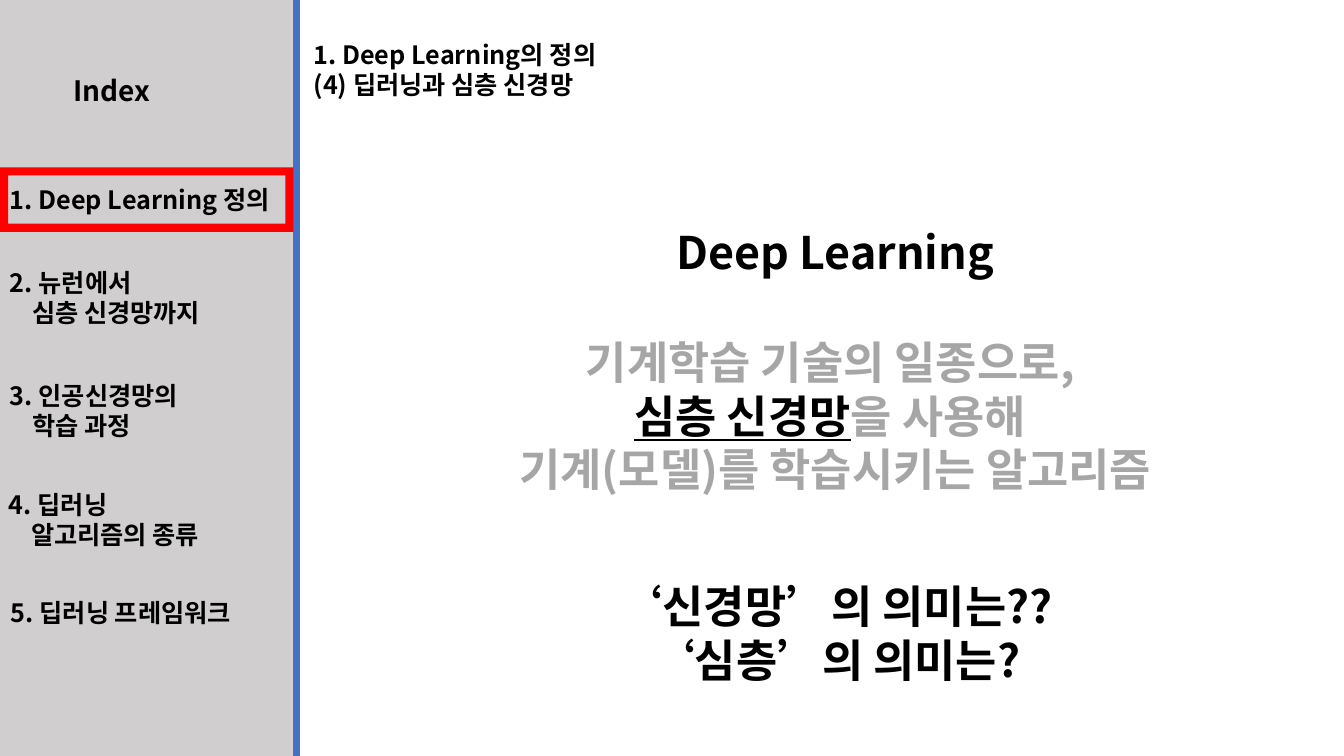
"""Build the slide on deep learning and deep neural networks with an index sidebar."""
from pptx import Presentation, util as u
from pptx.dml.color import RGBColor
from pptx.enum import shapes, text
from pptx.oxml import ns, xmlchemy

BLACK = RGBColor(0, 0, 0)
GREY = RGBColor(0xA6, 0xA6, 0xA6)
PANEL = RGBColor(0xD0, 0xCE, 0xCE)
BLUE = RGBColor(0x44, 0x72, 0xC4)
RED = RGBColor(0xFF, 0, 0)
FONT = "Noto Sans CJK KR"
LEFT, CENTER = text.PP_ALIGN.LEFT, text.PP_ALIGN.CENTER


def write(box, lines, size, align=LEFT, indent=0):
    """Fill a box with lines, each a list of (words, colour, underlined) runs."""
    frame = box.text_frame
    frame.word_wrap = True
    frame.auto_size = text.MSO_AUTO_SIZE.NONE
    frame.vertical_anchor = text.MSO_ANCHOR.TOP
    for number, runs in enumerate(lines):
        line = frame.add_paragraph() if number else frame.paragraphs[0]
        line.alignment = align
        line.line_spacing = 1.0
        line.space_before = u.Pt(0)
        if number and indent:
            line._p.get_or_add_pPr().set("marL", str(u.Inches(indent)))
        for words, colour, underlined in runs:
            run = line.add_run()
            run.text = words
            run.font.size = u.Pt(size)
            run.font.name = FONT
            run.font.bold = True
            run.font.underline = underlined
            run.font.color.rgb = colour
            east_asian = xmlchemy.OxmlElement("a:ea")
            east_asian.set("typeface", FONT)
            run._r.rPr.find(ns.qn("a:latin")).addnext(east_asian)


def plain(*lines):
    """Turn each string into a line of one black run."""
    return [[(words, BLACK, False)] for words in lines]


prs = Presentation()
prs.slide_width, prs.slide_height = u.Inches(13.33), u.Inches(7.5)
slide = prs.slides.add_slide(prs.slide_layouts[5])
parts = slide.shapes
sidebar_width = u.Inches(2.94)

heading = parts.title
heading.left, heading.top = u.Inches(3.01), u.Inches(0.34)
heading.width, heading.height = u.Inches(9.85), u.Inches(0.71)
write(heading, plain("1. Deep Learning의 정의", "(4) 딥러닝과 심층 신경망"), 18)

definition = [
    [("기계학습 기술의 일종으로, ", GREY, False)],
    [("심층 신경망", BLACK, True), ("을 사용해 ", GREY, False)],
    [("기계(모델)를 학습시키는 알고리즘", GREY, False)],
]
questions = plain("‘신경망’의 의미는??", "‘심층’의 의미는?")
for left, top, width, height, lines in [
    (4.3, 2.18, 7.97, 0.64, plain("Deep Learning")),
    (3.94, 3.27, 8.69, 1.72, definition),
    (4.3, 5.69, 7.97, 1.18, questions),
]:
    body = parts.add_textbox(*map(u.Inches, (left, top, width, height)))
    write(body, lines, 32, CENTER)

sidebar = parts.add_shape(shapes.MSO_SHAPE.RECTANGLE, 0, 0, sidebar_width, prs.slide_height)
sidebar.shadow.inherit = False
sidebar.fill.solid()
sidebar.fill.fore_color.rgb = PANEL
sidebar.line.color.rgb = PANEL
sidebar.line.width = u.Pt(1)

divider = parts.add_connector(
    shapes.MSO_CONNECTOR.STRAIGHT, sidebar_width, 0, sidebar_width, prs.slide_height)
divider.line.color.rgb = BLUE
divider.line.width = u.Pt(4.5)
divider._element.spPr.append(xmlchemy.OxmlElement("a:effectLst"))

index_title = parts.add_textbox(*map(u.Inches, (0.37, 0.68, 1.48, 0.53)))
write(index_title, plain("Index"), 20, CENTER)

for left, top, *lines in [
    (0, 1.78, "1. Deep Learning 정의"),
    (0, 2.6, "2. 뉴런에서", "심층 신경망까지"),
    (0, 3.72, "3. 인공신경망의", "학습 과정"),
    (-0.01, 4.8, "4. 딥러닝", "알고리즘의 종류"),
    (0.01, 5.88, "5. 딥러닝 프레임워크"),
]:
    entry = parts.add_textbox(
        u.Inches(left), u.Inches(top), sidebar_width, u.Inches(0.1 + 0.305 * len(lines)))
    write(entry, plain(*lines), 18, indent=0.22)

current = parts.add_shape(
    shapes.MSO_SHAPE.FRAME, 0, u.Inches(1.66), u.Inches(2.91), u.Inches(0.64))
current.shadow.inherit = False
current.fill.solid()
current.fill.fore_color.rgb = RED
current.line.fill.background()

prs.save("out.pptx")
